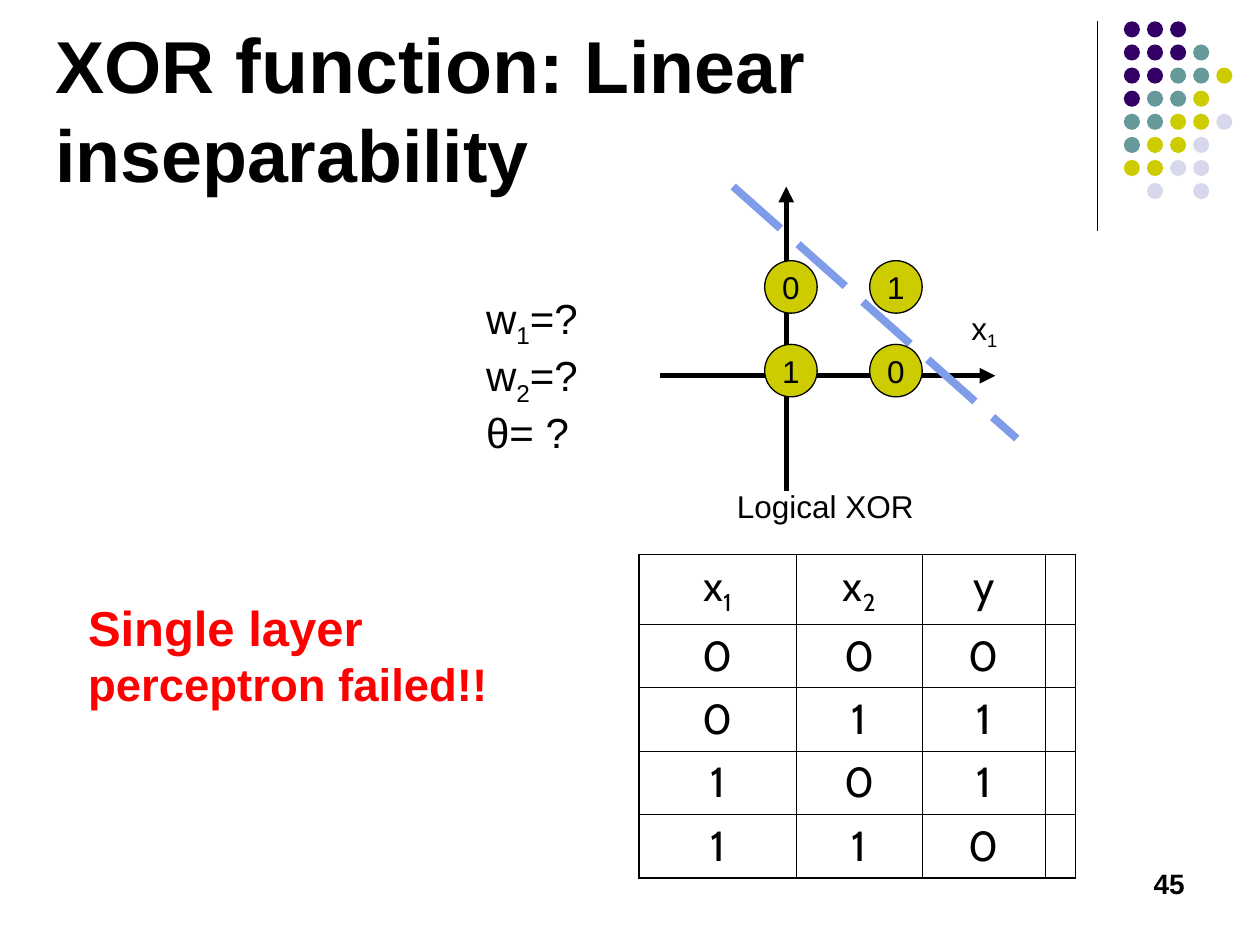
"""Build the slide on the linear inseparability of the XOR function."""
from lxml import etree
from pptx import Presentation
from pptx import util as u
from pptx.dml.color import RGBColor
from pptx.enum import dml, shapes, text
from pptx.oxml import ns

BLACK = RGBColor(0x00, 0x00, 0x00)
RED = RGBColor(0xFF, 0x00, 0x00)
BLUE = RGBColor(0x7E, 0x9C, 0xE8)
PURPLE = RGBColor(0x33, 0x00, 0x66)
TEAL = RGBColor(0x66, 0x99, 0x99)
OLIVE = RGBColor(0xCC, 0xCC, 0x00)
LAVENDER = RGBColor(0xD8, 0xD8, 0xEC)

DOT_COLORS = {"P": PURPLE, "T": TEAL, "O": OLIVE, "L": LAVENDER}
DOT_ROWS = ["PPP", "PPPT", "PPTTO", "PTTO", "TTOOL", "TOOL", "OOLL", " L L"]
TRUTH_TABLE = [
    [("x", "_1"), ("x", "_2"), ("y",)],
    [("0",), ("0",), ("0",)],
    [("0",), ("1",), ("1",)],
    [("1",), ("0",), ("1",)],
    [("1",), ("1",), ("0",)],
]


def write_paragraph(paragraph, runs, size, color=BLACK, bold=False, font="Arial"):
    """Fill a paragraph with runs; a run that starts with "_" is a subscript."""
    paragraph.font.size = u.Pt(size)
    paragraph.font.name = font
    paragraph.font.bold = bold
    paragraph.font.color.rgb = color
    for content in runs:
        run = paragraph.add_run()
        run.text = content.lstrip("_")
        if content.startswith("_"):
            run._r.get_or_add_rPr().set("baseline", "-25000")


def add_text(slide, box, lines, size, wrap=False, **style):
    """Add a text box with one paragraph per line and return its paragraphs."""
    frame = slide.shapes.add_textbox(*map(u.Pt, box)).text_frame
    frame.word_wrap = wrap
    if not wrap:
        frame.auto_size = text.MSO_AUTO_SIZE.SHAPE_TO_FIT_TEXT
    for index, runs in enumerate(lines):
        paragraph = frame.add_paragraph() if index else frame.paragraphs[0]
        write_paragraph(paragraph, runs, size, **style)
    return frame.paragraphs


def add_line(slide, start, end, width, color=BLACK, arrow=False, dash=None):
    """Add a straight line, with an optional arrowhead at its start."""
    line = slide.shapes.add_connector(
        shapes.MSO_CONNECTOR.STRAIGHT, *map(u.Pt, (*start, *end)))
    line.line.width = u.Pt(width)
    line.line.color.rgb = color
    if dash:
        line.line.dash_style = dash
    if arrow:
        etree.SubElement(line.line._ln, ns.qn("a:headEnd"), type="triangle")
    etree.SubElement(line._element.spPr, ns.qn("a:effectLst"))


def add_circle(parent, left, top, diameter, color):
    """Add a filled circle without outline or shadow."""
    circle = parent.shapes.add_shape(
        shapes.MSO_SHAPE.OVAL, *map(u.Pt, (left, top, diameter, diameter)))
    circle.shadow.inherit = False
    circle.fill.solid()
    circle.fill.fore_color.rgb = color
    circle.line.fill.background()
    return circle


def add_dot_pattern(slide):
    """Add the grouped grid of decorative dots."""
    group = slide.shapes.add_group_shape()
    for row, codes in enumerate(DOT_ROWS):
        for column, code in enumerate(codes):
            if code in DOT_COLORS:
                add_circle(group, 642.2 + 13.2 * column, 12.2 + 13.2 * row,
                           9.2, DOT_COLORS[code])


def add_node(slide, left, top, value):
    """Add an outlined circle that shows an output value."""
    node = add_circle(slide, left, top, 30, OLIVE)
    node.line.width = u.Pt(0.75)
    node.line.color.rgb = BLACK
    frame = node.text_frame
    frame.word_wrap = False
    frame.vertical_anchor = text.MSO_ANCHOR.MIDDLE
    frame.paragraphs[0].alignment = text.PP_ALIGN.CENTER
    write_paragraph(frame.paragraphs[0], [value], 18)


def set_border(cell, side, width):
    """Draw one black border of a table cell."""
    border = etree.SubElement(cell._tc.get_or_add_tcPr(), ns.qn("a:ln" + side),
                              w=str(u.Pt(width)))
    fill = etree.SubElement(border, ns.qn("a:solidFill"))
    etree.SubElement(fill, ns.qn("a:srgbClr"), val=str(BLACK))


def add_truth_table(slide):
    """Add the truth table with a heavier outer frame."""
    widths = [90, 72, 70.3, 17]
    heights = [40, 36.2, 36.2, 36.2, 36.2]
    table = slide.shapes.add_table(
        len(heights), len(widths),
        *map(u.Pt, (365, 316.8, sum(widths), sum(heights)))).table
    table.first_row = table.horz_banding = False
    for column, width in zip(table.columns, widths):
        column.width = u.Pt(width)
    for row, height in zip(table.rows, heights):
        row.height = u.Pt(height)
    for row in range(len(heights)):
        for column in range(len(widths)):
            cell = table.cell(row, column)
            outer = {"L": column == 0, "R": column == len(widths) - 1,
                     "T": row == 0, "B": row == len(heights) - 1}
            for side, is_outer in outer.items():
                set_border(cell, side, 1.08 if is_outer else 0.45)
            cell.fill.background()
            if column < len(TRUTH_TABLE[row]):
                paragraph = cell.text_frame.paragraphs[0]
                paragraph.alignment = text.PP_ALIGN.CENTER
                paragraph.space_before = u.Pt(6)
                write_paragraph(paragraph, TRUTH_TABLE[row][column], 24, font="Cabin")


def add_plot(slide):
    """Add the axes, the separating line and the four output nodes."""
    add_line(slide, (449.3, 106.6), (449.3, 280.8), 3, arrow=True)
    add_line(slide, (568.8, 214.7), (377.3, 214.7), 3, arrow=True)
    add_text(slide, (548, 172.8, 32, 31.7), [("x", "_1")], 18)
    add_line(slide, (419, 106.6), (581, 250.6), 4.5, BLUE,
             dash=dml.MSO_LINE.LONG_DASH)
    for top, values in ((149, "01"), (196.8, "10")):
        for left, value in zip((437, 497), values):
            add_node(slide, left, top, value)
    add_text(slide, (414, 275, 115.2, 28.8), [("Logical XOR",)], 18)


def add_title(slide):
    """Add the two-line title."""
    title = add_text(
        slide, (24.5, 5.8, 520.6, 61.9),
        [("XOR", " function", ": Linear"), ("inseparability",)],
        42, wrap=True, bold=True)
    title[0].runs[1].font.size = u.Pt(44)


def add_conclusion(slide):
    """Add the red conclusion."""
    conclusion = add_text(
        slide, (43.2, 337.7, 248, 72),
        [("Single layer",), ("perceptron failed!!",)], 28, color=RED, bold=True)
    conclusion[1].font.size = u.Pt(26)


def main():
    """Build and save the presentation."""
    presentation = Presentation()
    presentation.slide_width, presentation.slide_height = u.Pt(720), u.Pt(540)
    slide = presentation.slides.add_slide(presentation.slide_layouts[6])
    add_line(slide, (627.1, 12.2), (627.1, 131.8), 0.75)
    add_dot_pattern(slide)
    add_plot(slide)
    add_text(slide, (270.7, 163.4, 68, 101.5),
             [("w", "_1", "=?"), ("w", "_2", "=?"), ("θ= ?",)], 24)
    add_truth_table(slide)
    add_title(slide)
    add_conclusion(slide)
    number = add_text(slide, (516.2, 491.8, 167.8, 36), [("45",)], 16,
                      wrap=True, bold=True)
    number[0].alignment = text.PP_ALIGN.RIGHT
    presentation.save("out.pptx")


if __name__ == "__main__":
    main()
